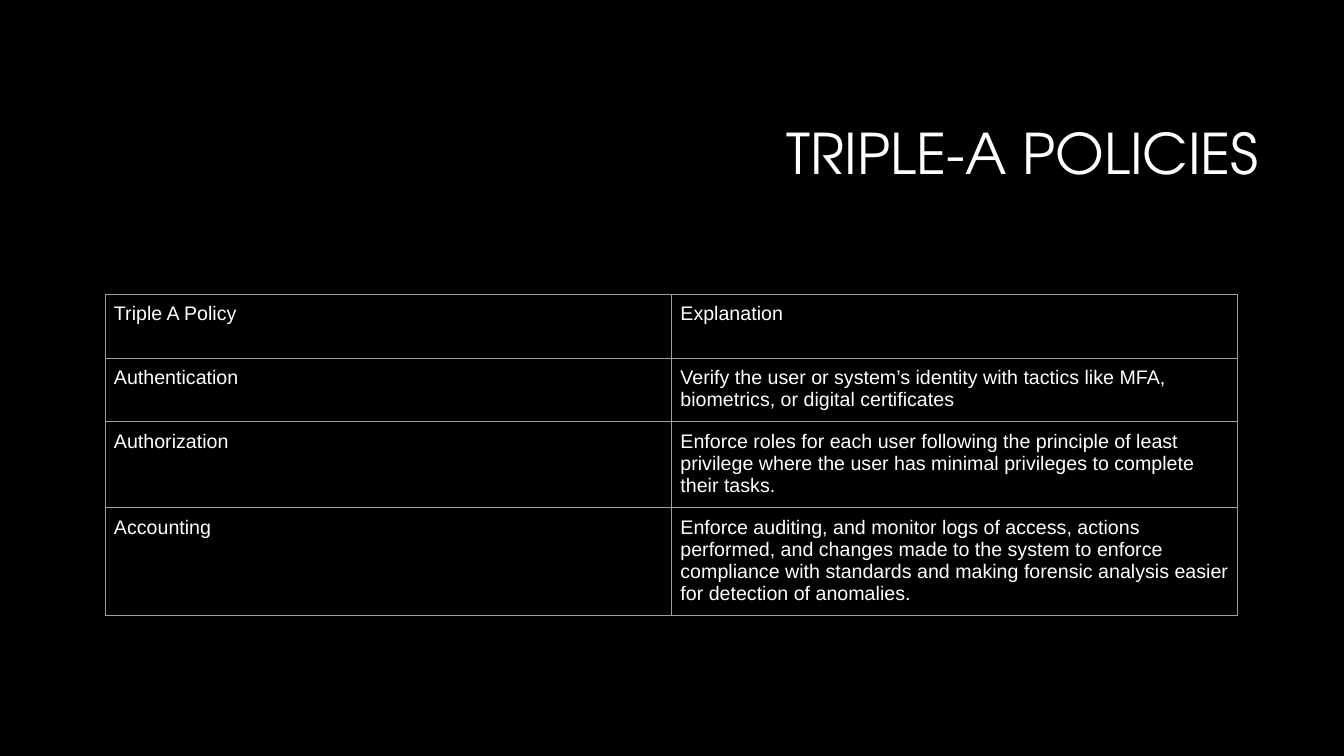
from lxml import etree
from pptx import Presentation
from pptx import util as u
from pptx.dml.color import RGBColor
from pptx.enum import text
from pptx.oxml.ns import qn

TITLE = "TRIPLE-A POLICIES"
POLICIES = [
    ("Triple A Policy", "Explanation"),
    ("Authentication",
     "Verify the user or system’s identity with tactics like MFA, "
     "biometrics, or digital certificates"),
    ("Authorization",
     "Enforce roles for each user following the principle of least privilege "
     "where the user has minimal privileges to complete their tasks."),
    ("Accounting",
     "Enforce auditing, and monitor logs of access, actions performed, and "
     "changes made to the system to enforce compliance with standards and "
     "making forensic analysis easier for detection of anomalies."),
]
ROW_HEIGHTS = [64, 64, 86, 108]
SLIDE_SIZE = (1344, 756)
TITLE_BOX = (320, 85, 949, 142)
TABLE_LEFT, TABLE_TOP, TABLE_WIDTH = 105, 294, 1133
CELL_MARGIN = 9

BLACK = RGBColor(0x00, 0x00, 0x00)
WHITE = RGBColor(0xFF, 0xFF, 0xFF)
GREY = RGBColor(0x9E, 0x9E, 0x9E)
TITLE_FONT, BODY_FONT = "TeX Gyre Adventor", "Arial"


def px(n):
    return u.Emu(round(n * 914400 / 100.8))


def style(font, name, size):
    font.name, font.size = name, u.Pt(size)
    font.bold = False
    font.color.rgb = WHITE


def add_borders(cell):
    tc_pr = cell._tc.get_or_add_tcPr()
    for side in ("a:lnL", "a:lnR", "a:lnT", "a:lnB"):
        ln = etree.SubElement(tc_pr, qn(side), w=str(u.Pt(0.75)))
        fill = etree.SubElement(ln, qn("a:solidFill"))
        etree.SubElement(fill, qn("a:srgbClr"), val=str(GREY))


def add_title(slide):
    sp = slide.shapes.title
    sp.left, sp.top, sp.width, sp.height = map(px, TITLE_BOX)
    tf = sp.text_frame
    tf.text = TITLE
    tf.word_wrap = True
    tf.vertical_anchor = text.MSO_ANCHOR.MIDDLE
    p = tf.paragraphs[0]
    p.alignment = text.PP_ALIGN.RIGHT
    p.line_spacing = 0.9
    style(p.runs[0].font, TITLE_FONT, 40)


def add_policy_table(slide):
    table = slide.shapes.add_table(
        len(POLICIES), len(POLICIES[0]), px(TABLE_LEFT), px(TABLE_TOP),
        px(TABLE_WIDTH), px(sum(ROW_HEIGHTS))).table
    table.first_row = table.horz_banding = False
    for row, height, values in zip(table.rows, ROW_HEIGHTS, POLICIES):
        row.height = px(height)
        for cell, value in zip(row.cells, values):
            cell.text = value
            cell.margin_left = cell.margin_right = px(CELL_MARGIN)
            cell.margin_top = cell.margin_bottom = px(CELL_MARGIN)
            add_borders(cell)
            cell.fill.background()
            style(cell.text_frame.paragraphs[0].runs[0].font, BODY_FONT, 14)


def main():
    """Build the Triple-A policies slide."""
    prs = Presentation()
    prs.slide_width, prs.slide_height = map(px, SLIDE_SIZE)
    slide = prs.slides.add_slide(prs.slide_layouts[5])
    slide.background.fill.solid()
    slide.background.fill.fore_color.rgb = BLACK
    add_title(slide)
    add_policy_table(slide)
    prs.save("out.pptx")


if __name__ == "__main__":
    main()
